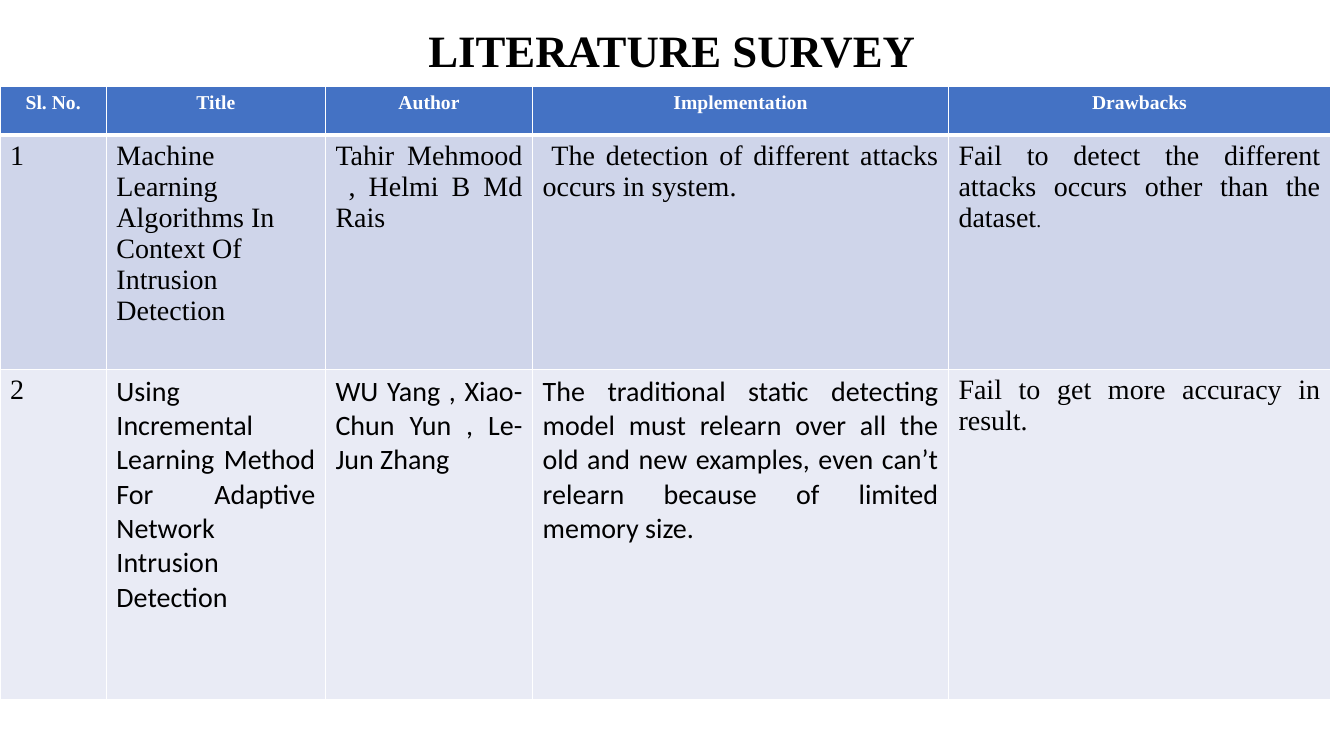
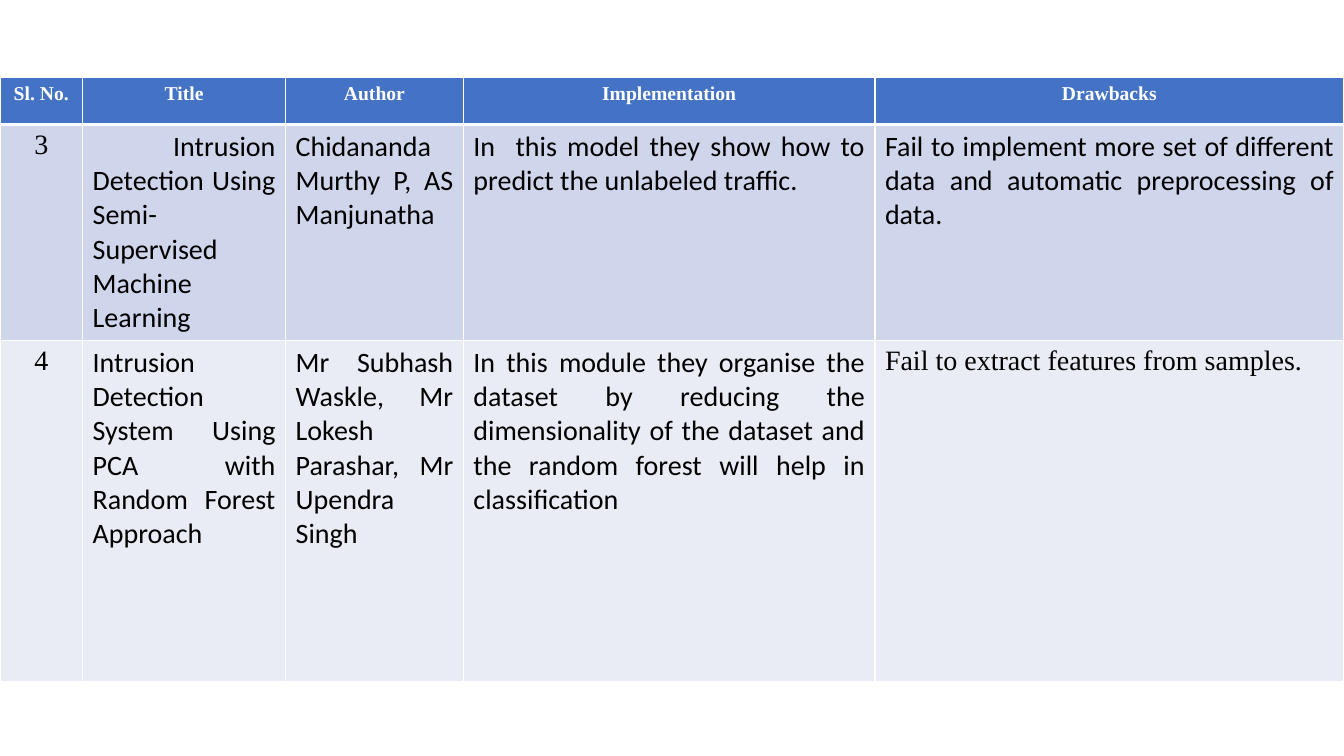
"""Build two literature survey slides, each with a table of papers."""
from lxml import etree
from pptx import Presentation
from pptx.dml.color import RGBColor
from pptx.enum.text import MSO_ANCHOR, PP_ALIGN
from pptx.oxml.ns import qn
from pptx.util import Pt

LEFT, CENTER, JUSTIFY = PP_ALIGN.LEFT, PP_ALIGN.CENTER, PP_ALIGN.JUSTIFY
MIDDLE = MSO_ANCHOR.MIDDLE
TIMES, CALIBRI = "Times New Roman", "Calibri"
BLACK, WHITE = "000000", "FFFFFF"
ROW_FILLS = ["4472C4", "CFD5EA", "E9EBF5"]
HEADINGS = ["Sl. No.", "Title", "Author", "Implementation", "Drawbacks"]
BODY_SIZE, SMALL_SIZE = 20, 14
THIN, THICK = 1, 3
TITLE_ONLY, BLANK = 5, 6


def color(hex_string):
    return RGBColor.from_string(hex_string)


def add_text(text_frame, text, font=TIMES, size=BODY_SIZE, fill=BLACK, bold=False, align=LEFT):
    paragraph = text_frame.paragraphs[0]
    paragraph.alignment = align
    run = paragraph.add_run()
    run.text = text
    run.font.name = font
    run.font.size = Pt(size)
    run.font.bold = bold
    run.font.color.rgb = color(fill)
    return paragraph


surveys = [
    {
        "title": "LITERATURE SURVEY",
        "top": 62,
        "columns": [76, 156.5, 148, 297, 273],
        "rows": [34.5, 167.5, 235.5],
        "papers": [
            [
                (LEFT, TIMES, [("1", BODY_SIZE)]),
                (LEFT, TIMES, [("Machine Learning Algorithms In Context Of Intrusion Detection", BODY_SIZE)]),
                (JUSTIFY, TIMES, [("Tahir Mehmood  , Helmi B Md Rais", BODY_SIZE)]),
                (JUSTIFY, TIMES, [(" ", SMALL_SIZE),
                                  ("The detection of different attacks occurs in system.", BODY_SIZE)]),
                (JUSTIFY, TIMES, [("Fail to detect the different attacks occurs other than the dataset", BODY_SIZE),
                                  (".", SMALL_SIZE)]),
            ],
            [
                (LEFT, TIMES, [("2", BODY_SIZE)]),
                (JUSTIFY, CALIBRI, [("Using Incremental Learning Method For Adaptive Network "
                                     "Intrusion Detection", BODY_SIZE)]),
                (JUSTIFY, CALIBRI, [("WU Yang , Xiao-Chun Yun , Le-Jun Zhang", BODY_SIZE)]),
                (JUSTIFY, CALIBRI, [("The traditional static detecting model must relearn over all the old "
                                     "and new examples, even can’t relearn because of limited memory size.",
                                     BODY_SIZE)]),
                (JUSTIFY, TIMES, [("Fail to get more accuracy in result.", BODY_SIZE)]),
            ],
        ],
    },
    {
        "title": None,
        "top": 55.5,
        "columns": [59, 145, 127, 294, 335],
        "rows": [33.5, 117.5, 244],
        "papers": [
            [
                (CENTER, TIMES, [("3", BODY_SIZE)]),
                (JUSTIFY, CALIBRI, [(" Intrusion Detection Using Semi-Supervised Machine Learning", BODY_SIZE)]),
                (JUSTIFY, CALIBRI, [("Chidananda Murthy P, AS Manjunatha", BODY_SIZE)]),
                (JUSTIFY, CALIBRI, [("In  this model they show how to predict the unlabeled traffic.", BODY_SIZE)]),
                (JUSTIFY, CALIBRI, [("Fail to implement more set of different data and automatic "
                                     "preprocessing of data.", BODY_SIZE)]),
            ],
            [
                (CENTER, TIMES, [("4", BODY_SIZE)]),
                (JUSTIFY, CALIBRI, [("Intrusion Detection System Using PCA with Random Forest Approach",
                                     BODY_SIZE)]),
                (JUSTIFY, CALIBRI, [("Mr Subhash Waskle, Mr Lokesh Parashar, Mr Upendra Singh", BODY_SIZE)]),
                (JUSTIFY, CALIBRI, [("In this module they organise the dataset by reducing the dimensionality "
                                     "of the dataset and the random forest will help in classification",
                                     BODY_SIZE)]),
                (JUSTIFY, TIMES, [("Fail to extract features from samples.", BODY_SIZE)]),
            ],
        ],
    },
]

presentation = Presentation()
presentation.slide_width, presentation.slide_height = Pt(960), Pt(540)

for survey in surveys:
    layout = presentation.slide_layouts[TITLE_ONLY if survey["title"] else BLANK]
    slide = presentation.slides.add_slide(layout)

    if survey["title"]:
        title = slide.shapes.title
        title.left, title.top, title.width, title.height = Pt(66), Pt(16), Pt(828), Pt(44)
        title.text_frame.vertical_anchor = MIDDLE
        paragraph = add_text(title.text_frame, survey["title"], size=32, bold=True, align=CENTER)
        paragraph.line_spacing = 0.9

    widths, heights = survey["columns"], survey["rows"]
    table = slide.shapes.add_table(len(heights), len(widths), Pt(0), Pt(survey["top"]),
                                   Pt(sum(widths)), Pt(sum(heights))).table
    for column, width in zip(table.columns, widths):
        column.width = Pt(width)
    for row, height in zip(table.rows, heights):
        row.height = Pt(height)

    for column_index, heading in enumerate(HEADINGS):
        add_text(table.cell(0, column_index).text_frame, heading,
                 size=SMALL_SIZE, fill=WHITE, bold=True, align=CENTER)
    for row_index, paper in enumerate(survey["papers"], start=1):
        for column_index, (align, font, runs) in enumerate(paper):
            for text, size in runs:
                add_text(table.cell(row_index, column_index).text_frame, text,
                         font=font, size=size, align=align)

    for row_index, row in enumerate(table.rows):
        borders = {
            "a:lnL": THIN,
            "a:lnR": THIN,
            "a:lnT": THICK if row_index == 1 else THIN,
            "a:lnB": THICK if row_index == 0 else THIN,
        }
        for cell in row.cells:
            properties = cell._tc.get_or_add_tcPr()
            for side, width in borders.items():
                line = etree.SubElement(properties, qn(side), w=str(Pt(width)))
                line_fill = etree.SubElement(line, qn("a:solidFill"))
                etree.SubElement(line_fill, qn("a:srgbClr"), val=WHITE)
            cell.fill.solid()
            cell.fill.fore_color.rgb = color(ROW_FILLS[row_index])

presentation.save("out.pptx")
